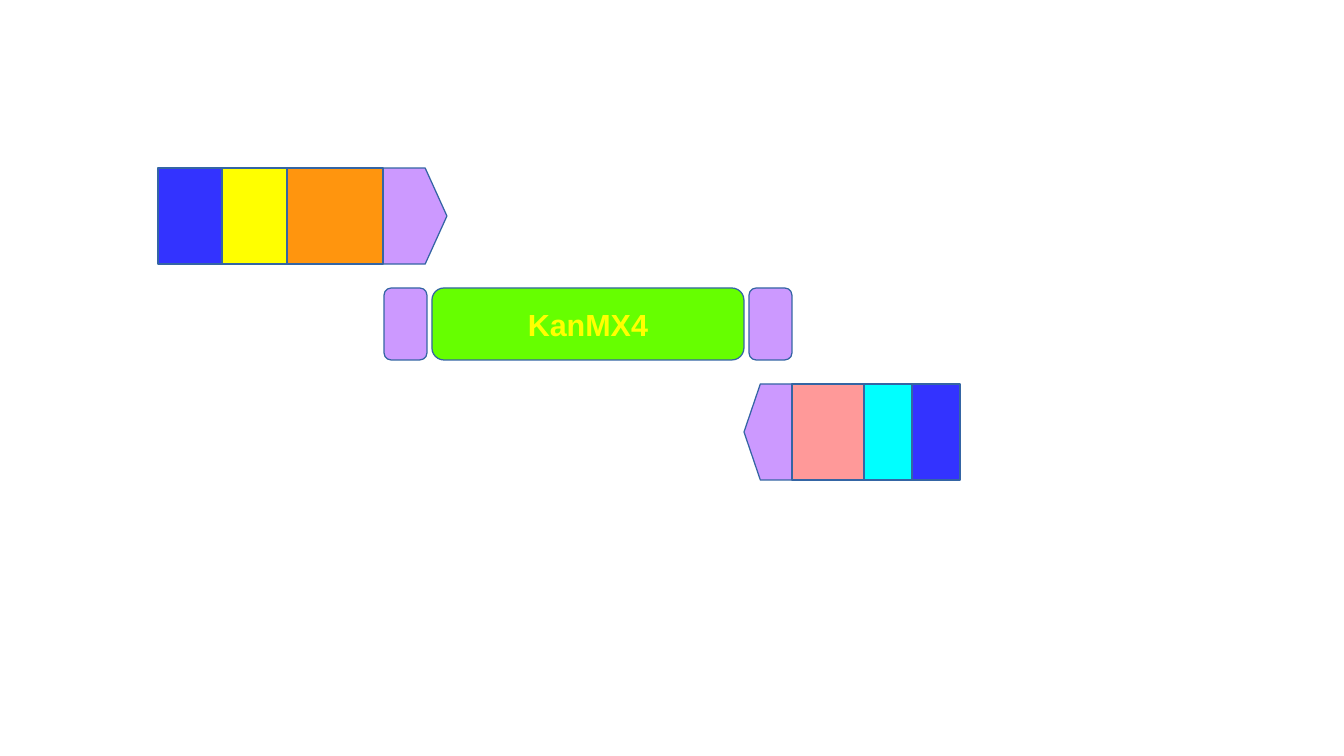
from dataclasses import dataclass

from pptx import Presentation, util as u
from pptx.dml.color import RGBColor
from pptx.enum import shapes, text

PX = 914400 / 122  # EMU in one px


@dataclass(frozen=True)
class Theme:
    font: str = "Arial"
    size: int = 18
    line: str = "3465A4"
    blue: str = "3333FF"
    yellow: str = "FFFF00"
    orange: str = "FF950E"
    violet: str = "CC99FF"
    green: str = "66FF00"
    pink: str = "FF9999"
    cyan: str = "00FFFF"


class Sketch:
    def __init__(self, deck, theme):
        self.theme = theme
        self.slide = deck.slides.add_slide(deck.slide_layouts[6])

    def shape(self, kind, x, y, w, h, fill):
        box = [u.Emu(round(n * PX)) for n in (x, y, w, h)]
        item = self.slide.shapes.add_shape(kind, *box)
        item.shadow.inherit = False
        item.fill.solid()
        item.fill.fore_color.rgb = RGBColor.from_string(fill)
        item.line.color.rgb = RGBColor.from_string(self.theme.line)
        item.line.width = u.Pt(0)
        return item

    def block(self, x, y, w, h, fill):
        return self.shape(shapes.MSO_SHAPE.RECTANGLE, x, y, w, h, fill)

    def round(self, x, y, w, h, fill):
        item = self.shape(shapes.MSO_SHAPE.ROUNDED_RECTANGLE, x, y, w, h, fill)
        item.adjustments[0] = 0.167
        return item

    def arrow(self, x, y, w, h, fill, turn=0):
        item = self.shape(shapes.MSO_SHAPE.PENTAGON, x, y, w, h, fill)
        item.adjustments[0] = 0.34
        item.rotation = turn
        return item

    def label(self, item, words):
        frame = item.text_frame
        frame.vertical_anchor = text.MSO_ANCHOR.MIDDLE
        line = frame.paragraphs[0]
        line.text = words
        line.alignment = text.PP_ALIGN.CENTER
        font = line.font
        font.name, font.size, font.bold = self.theme.font, u.Pt(self.theme.size), True
        font.color.rgb = RGBColor.from_string(self.theme.yellow)

    def row(self, x, y, h, parts):
        for w, fill in parts:
            self.block(x, y, w, h, fill)
            x += w


def main():
    deck = Presentation()
    deck.slide_width = u.Emu(round(1344 * PX))
    deck.slide_height = u.Emu(round(756 * PX))
    theme = Theme()
    art = Sketch(deck, theme)

    # Marker gene between its two flanks
    gene = art.round(432, 288, 312, 72, theme.green)
    art.label(gene, "KanMX4")
    for x in (749, 384):
        art.round(x, 288, 43, 72, theme.violet)

    # Upstream primer, pointing right
    art.arrow(383, 168, 64, 96, theme.violet)
    art.row(158, 168, 96, [(64, theme.blue), (65, theme.yellow), (96, theme.orange)])

    # Downstream primer, pointing left
    art.arrow(744, 384, 48, 96, theme.violet, turn=180)
    art.row(792, 384, 96, [(72, theme.pink), (48, theme.cyan), (48, theme.blue)])

    deck.save("out.pptx")


if __name__ == "__main__":
    main()
